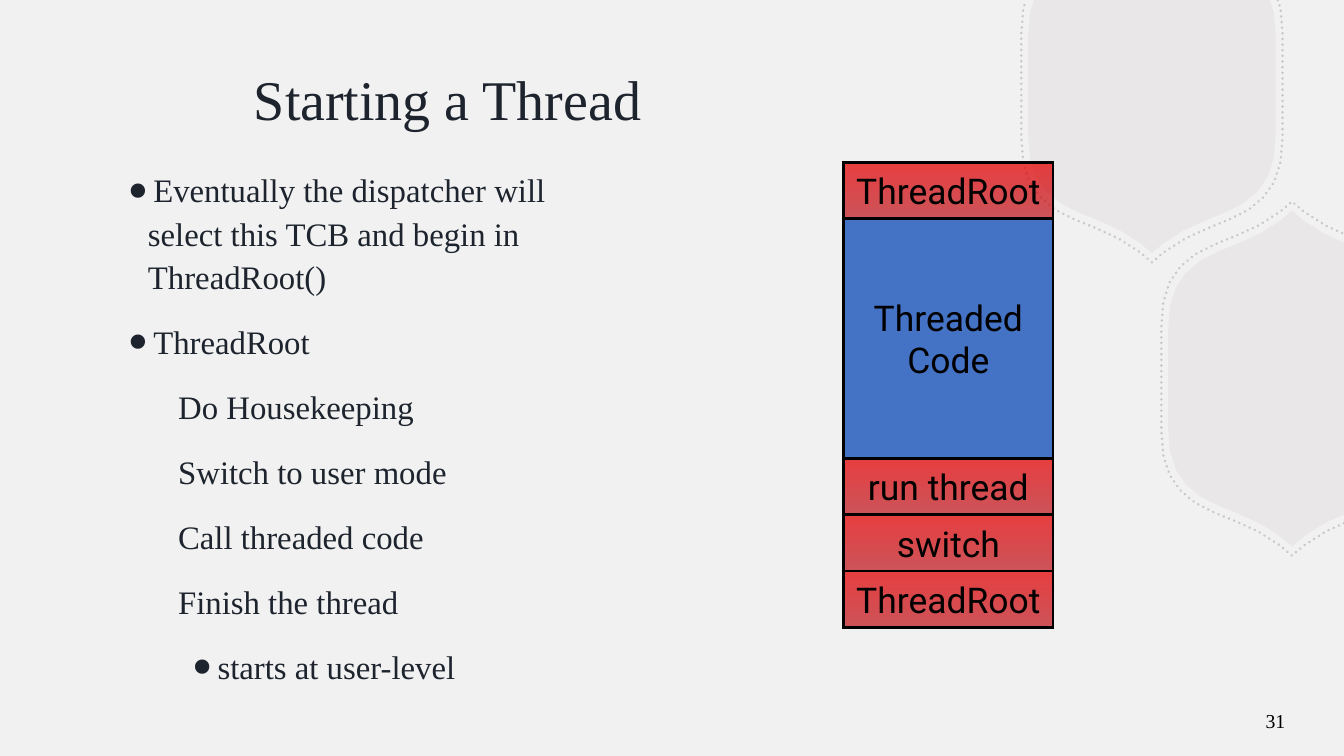
from lxml import etree
from pptx import Presentation, util as u
from pptx.dml.color import RGBColor
from pptx.enum import dml, shapes, text
from pptx.oxml import ns

BACKGROUND = RGBColor(0xF2, 0xF1, 0xF1)
INK = RGBColor(0x1D, 0x24, 0x2E)
BLACK = RGBColor(0, 0, 0)
HEXAGON = RGBColor(0xB8, 0xB2, 0xB2)
BLUE = RGBColor(0x44, 0x72, 0xC4)
RED_TOP = RGBColor(0xE5, 0x00, 0x02)
RED_BOTTOM = RGBColor(0xBA, 0x01, 0x09)
SERIF, SANS = "Times New Roman", "Roboto"
WIDTH, HEIGHT = 33.87, 19.05

BODY = [
    (0, "Eventually the dispatcher will select this TCB and begin in ThreadRoot()"),
    (0, "ThreadRoot"),
    (1, "Do Housekeeping"),
    (1, "Switch to user mode"),
    (1, "Call threaded code"),
    (1, "Finish the thread"),
    (2, "starts at user-level"),
]
LEVELS = [(0.64, -0.64), (1.4, 0), (2.26, -0.64)]
FRAMES = [
    ("ThreadRoot", 1.42),
    ("Threaded Code", 6.04),
    ("run thread", 1.42),
    ("switch", 1.42),
    ("ThreadRoot", 1.42),
]


def bezier(start, first, second, end, steps=4):
    for step in range(1, steps + 1):
        t = step / steps
        weights = ((1 - t) ** 3, 3 * t * (1 - t) ** 2, 3 * t * t * (1 - t), t ** 3)
        yield tuple(
            sum(w * p[axis] for w, p in zip(weights, (start, first, second, end)))
            for axis in (0, 1)
        )


def hexagon_points():
    quarter = [(0, -4.23), (0.28, -3.99)]
    quarter += bezier(quarter[-1], (0.97, -3.45), (1.73, -3.33), (2.31, -2.97))
    quarter += bezier(quarter[-1], (2.87, -2.59), (3.12, -2.13), (3.12, -1.24))
    right = quarter + [(x, -y) for x, y in reversed(quarter)]
    return right + [(-x, y) for x, y in right[-2:0:-1]]


def inside_depth(point):
    return min(WIDTH - point[0], point[1])


def clip_to_slide(points):
    visible = []
    for start, end in zip(points, points[1:] + points[:1]):
        before, after = inside_depth(start), inside_depth(end)
        if before >= 0:
            visible.append(start)
        if (before >= 0) != (after >= 0):
            t = before / (before - after)
            visible.append(tuple(a + t * (b - a) for a, b in zip(start, end)))
    return visible


def set_alpha(shape, *percents):
    for colour, percent in zip(shape.element.spPr.iter(ns.qn("a:srgbClr")), percents):
        etree.SubElement(colour, ns.qn("a:alpha"), val=str(percent * 1000))


class SlideBuilder:
    def __init__(self, presentation):
        self.slide = presentation.slides.add_slide(presentation.slide_layouts[6])
        fill = self.slide.background.fill
        fill.solid()
        fill.fore_color.rgb = BACKGROUND

    def run(self, paragraph, words, size, font, colour):
        run = paragraph.add_run()
        run.text = words
        run.font.size = u.Pt(size)
        run.font.name = font
        run.font.color.rgb = colour

    def text_box(self, left, top, width, height, anchor):
        box = self.slide.shapes.add_textbox(
            u.Cm(left), u.Cm(top), u.Cm(width), u.Cm(height))
        frame = box.text_frame
        frame.word_wrap = True
        frame.vertical_anchor = anchor
        return frame

    def label(self, words, box, size, colour, alignment):
        paragraph = self.text_box(*box, text.MSO_ANCHOR.MIDDLE).paragraphs[0]
        paragraph.alignment = alignment
        self.run(paragraph, words, size, SERIF, colour)

    def outline(self, items, box):
        frame = self.text_box(*box, text.MSO_ANCHOR.TOP)
        for index, (level, words) in enumerate(items):
            paragraph = frame.add_paragraph() if index else frame.paragraphs[0]
            paragraph.level = level
            paragraph.line_spacing = 1.1
            paragraph.space_before = u.Pt(15.5 if index else 10)
            margin, indent = LEVELS[level]
            properties = paragraph._p.get_or_add_pPr()
            properties.set("marL", str(u.Cm(margin)))
            properties.set("indent", str(u.Cm(indent)))
            if indent:
                etree.SubElement(properties, ns.qn("a:buSzPct"), val="150000")
                etree.SubElement(properties, ns.qn("a:buFont"), typeface=SANS)
                etree.SubElement(properties, ns.qn("a:buChar"), char="∙")
            else:
                etree.SubElement(properties, ns.qn("a:buNone"))
            self.run(paragraph, words, 23.4, SERIF, INK)

    def hexagon(self, centre, first_point, scale, dotted):
        points = hexagon_points()
        points = points[first_point:] + points[:first_point]
        visible = [(u.Cm(x), u.Cm(y)) for x, y in clip_to_slide(
            [(centre[0] + x * scale, centre[1] + y * scale) for x, y in points])]
        builder = self.slide.shapes.build_freeform(*visible[0])
        builder.add_line_segments(visible[1:], close=not dotted)
        shape = builder.convert_to_shape()
        shape.shadow.inherit = False
        if dotted:
            shape.fill.background()
            shape.line.color.rgb = HEXAGON
            shape.line.width = u.Pt(2)
            shape.line.dash_style = dml.MSO_LINE.ROUND_DOT
            shape.element.spPr.find(ns.qn("a:ln")).set("cap", "rnd")
            set_alpha(shape, 65)
        else:
            shape.fill.solid()
            shape.fill.fore_color.rgb = HEXAGON
            set_alpha(shape, 15)
            shape.line.fill.background()

    def stack_frame(self, words, left, top, width, height, is_code):
        shape = self.slide.shapes.add_shape(
            shapes.MSO_SHAPE.RECTANGLE,
            u.Cm(left), u.Cm(top), u.Cm(width), u.Cm(height))
        shape.shadow.inherit = False
        if is_code:
            shape.fill.solid()
            shape.fill.fore_color.rgb = BLUE
        else:
            shape.fill.gradient()
            shape.fill.gradient_angle = 270
            for stop, colour, position in zip(
                    shape.fill.gradient_stops, (RED_TOP, RED_BOTTOM), (0, 1)):
                stop.color.rgb = colour
                stop.position = position
            set_alpha(shape, 75, 65)
        shape.line.color.rgb = BLACK
        shape.line.width = u.Pt(2)
        line = shape.element.spPr.find(ns.qn("a:ln"))
        etree.SubElement(line, ns.qn("a:miter"), lim="800000")
        frame = shape.text_frame
        frame.word_wrap = True
        frame.vertical_anchor = text.MSO_ANCHOR.MIDDLE
        frame.margin_left = frame.margin_right = 0
        frame.margin_top = frame.margin_bottom = 0
        paragraph = frame.paragraphs[0]
        paragraph.alignment = text.PP_ALIGN.CENTER
        self.run(paragraph, words, 25.3, SANS, BLACK)


def main():
    presentation = Presentation()
    presentation.slide_width = u.Cm(WIDTH)
    presentation.slide_height = u.Cm(HEIGHT)
    builder = SlideBuilder(presentation)

    right_corner = len(hexagon_points()) // 4
    hexagons = [((29.03, 2.15), 0), ((32.56, 9.54), right_corner)]
    for scale, dotted in ((1, False), (1.055, True)):
        for centre, first_point in hexagons:
            builder.hexagon(centre, first_point, scale, dotted)

    builder.label("Starting a Thread", (6.15, 0.89, 21.59, 3.18), 40, INK,
                  text.PP_ALIGN.LEFT)
    builder.outline(BODY, (2.84, 4.06, 11.99, 13.06))

    top = 4.09
    for words, height in FRAMES:
        builder.stack_frame(words, 21.26, top, 5.28, height, words == "Threaded Code")
        top += height

    builder.label("31", (31.22, 17.65, 1.42, 1.02), 14.1, BLACK, text.PP_ALIGN.RIGHT)
    presentation.save("out.pptx")


if __name__ == "__main__":
    main()
